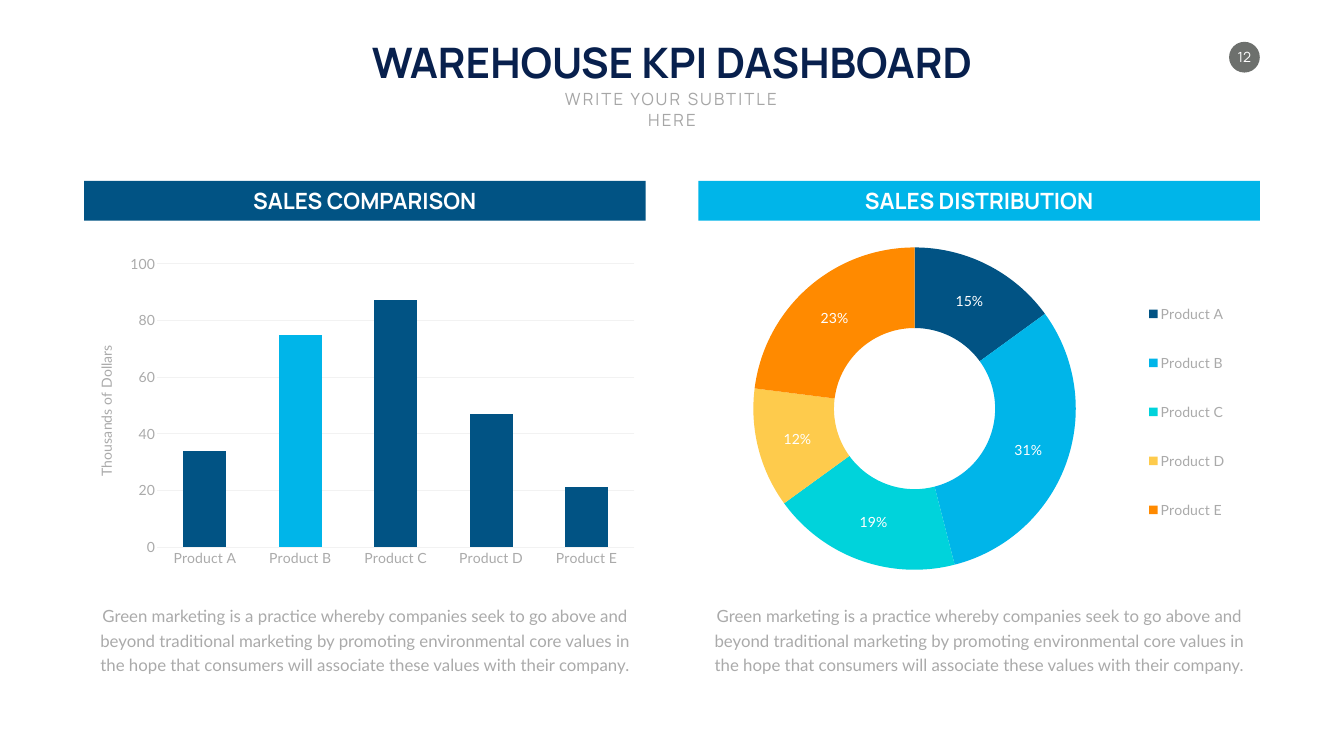
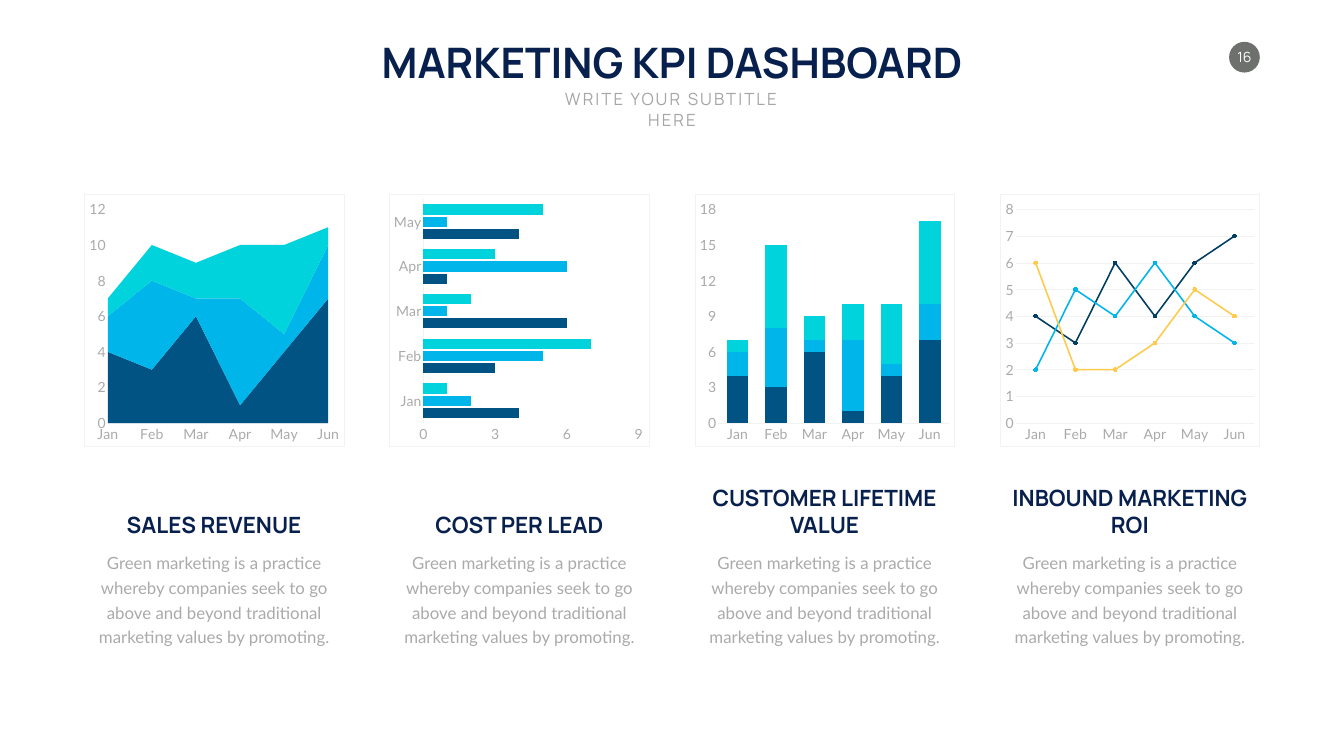
from pptx import Presentation
from pptx.chart.data import CategoryChartData
from pptx.dml.color import RGBColor
from pptx.enum.chart import XL_CHART_TYPE, XL_LEGEND_POSITION, XL_MARKER_STYLE, XL_TICK_MARK
from pptx.enum.shapes import MSO_SHAPE
from pptx.enum.text import MSO_ANCHOR, MSO_AUTO_SIZE, PP_ALIGN
from pptx.oxml import parse_xml
from pptx.oxml.ns import nsdecls, qn
from pptx.util import Inches, Pt

COLUMN = XL_CHART_TYPE.COLUMN_CLUSTERED
COLUMN_STACKED = XL_CHART_TYPE.COLUMN_STACKED
AREA_STACKED = XL_CHART_TYPE.AREA_STACKED
BAR = XL_CHART_TYPE.BAR_CLUSTERED
LINE = XL_CHART_TYPE.LINE_MARKERS
DOUGHNUT = XL_CHART_TYPE.DOUGHNUT
RIGHT = XL_LEGEND_POSITION.RIGHT
CIRCLE = XL_MARKER_STYLE.CIRCLE
NO_TICK = XL_TICK_MARK.NONE
RECTANGLE, OVAL = MSO_SHAPE.RECTANGLE, MSO_SHAPE.OVAL
TOP, MIDDLE, BOTTOM = MSO_ANCHOR.TOP, MSO_ANCHOR.MIDDLE, MSO_ANCHOR.BOTTOM
NO_AUTOFIT = MSO_AUTO_SIZE.NONE
CENTER = PP_ALIGN.CENTER

# Shared look
WIDTH, HEIGHT, MARGIN = 26.66, 15, 1.67
HEADING_FONT, BODY_FONT = "Manrope", "Lato"
NAVY, BLUE, SKY, TEAL = "08204D", "015384", "00B5E9", "00D3DB"
YELLOW, ORANGE, DEEP_BLUE = "FECB4C", "FF8A00", "013E63"
WHITE, GREY, SUBTITLE_GREY = "FFFFFF", "AAAAAA", "A6A6A6"
BADGE_GREY, PALE = "6D706D", "F2F2F2"
STACK_COLOURS = [BLUE, SKY, TEAL]

# Content
PRODUCTS = [f"Product {letter}" for letter in "ABCDE"]
MONTHS = ["Jan", "Feb", "Mar", "Apr", "May", "Jun"]
SALES_TEXT = (
    "Green marketing is a practice whereby companies seek to go above and "
    "beyond traditional marketing by promoting environmental core values in "
    "the hope that consumers will associate these values with their company.")
KPI_TEXT = (
    "Green marketing is a practice whereby companies seek to go above and "
    "beyond traditional marketing values by promoting.")


def colour(value):
    return RGBColor.from_string(value)


def frame(left, width, top, height):
    """Left and width in inches, top and height in percent of the slide height."""
    return [Inches(length) for length in
            (left, top * HEIGHT / 100, width, height * HEIGHT / 100)]


def column_frame(index, count, gap, top, height):
    width = (WIDTH - 2 * MARGIN - (count - 1) * gap) / count
    return frame(MARGIN + index * (width + gap), width, top, height)


def style_font(font, size, name, text_colour, bold=False):
    font.size = Pt(size)
    font.name = name
    font.bold = bold
    font.color.rgb = colour(text_colour)


# Text and shapes
def write(shape, text, size, name, text_colour, bold=False, anchor=TOP):
    text_frame = shape.text_frame
    text_frame.text = text
    text_frame.word_wrap = True
    text_frame.auto_size = NO_AUTOFIT
    text_frame.vertical_anchor = anchor
    paragraph = text_frame.paragraphs[0]
    paragraph.alignment = CENTER
    style_font(paragraph.runs[0].font, size, name, text_colour, bold)
    return paragraph


def add_text(slide, box, *style, **options):
    return write(slide.shapes.add_textbox(*box), *style, **options)


def add_body(slide, box, text):
    add_text(slide, box, text, 24, BODY_FONT, GREY).line_spacing = Pt(35)


def add_block(slide, kind, box, fill):
    shape = slide.shapes.add_shape(kind, *box)
    shape.shadow.inherit = False
    shape.fill.solid()
    shape.fill.fore_color.rgb = colour(fill)
    shape.line.fill.background()
    return shape


def add_band(slide, box, text, fill):
    band = add_block(slide, RECTANGLE, box, fill)
    write(band, text, 32, HEADING_FONT, WHITE, bold=True, anchor=MIDDLE)


def add_dashboard_slide(presentation, title, number):
    slide = presentation.slides.add_slide(presentation.slide_layouts[5])
    heading = slide.shapes.title
    heading.left, heading.top, heading.width, heading.height = frame(
        WIDTH * 0.2, WIDTH * 0.6, 4.47, 7.4)
    write(heading, title, 60, HEADING_FONT, NAVY, bold=True)

    subtitle_width = 5.43
    subtitle = add_text(
        slide, frame((WIDTH - subtitle_width) / 2, subtitle_width, 11.47, 6),
        "WRITE YOUR SUBTITLE HERE", 24, HEADING_FONT, SUBTITLE_GREY)
    subtitle.runs[0].font._element.set("spc", "300")

    diameter = 0.61
    badge = add_block(
        slide, OVAL, frame(WIDTH - MARGIN - diameter, diameter, 5.53, 4.07), BADGE_GREY)
    text_frame = badge.text_frame
    text_frame.margin_left = text_frame.margin_right = 0
    text_frame.margin_top = text_frame.margin_bottom = 0
    write(badge, number, 20, HEADING_FONT, WHITE, anchor=MIDDLE)
    return slide


# Charts
def set_layout(parent, index, box, inner=False):
    """Fix the place of a chart part, as shares of the chart."""
    for old in parent.findall(qn("c:layout")):
        parent.remove(old)
    target = '<c:layoutTarget val="inner"/>' if inner else ""
    modes = "".join(f'<c:{axis}Mode val="edge"/>' for axis in "xy")
    sizes = "".join(f'<c:{name} val="{value}"/>' for name, value in zip("xywh", box))
    parent.insert(index, parse_xml(
        f'<c:layout {nsdecls("c")}><c:manualLayout>{target}{modes}{sizes}'
        '</c:manualLayout></c:layout>'))


def set_chart_border(chart, border):
    fill = f'<a:solidFill><a:srgbClr val="{border}"/></a:solidFill>' if border else "<a:noFill/>"
    chart._chartSpace.find(qn("c:chart")).addnext(parse_xml(
        f'<c:spPr {nsdecls("c", "a")}><a:noFill/><a:ln w="9525">{fill}</a:ln></c:spPr>'))


def add_chart(slide, box, kind, categories, rows, plot_box, border=None):
    data = CategoryChartData()
    data.categories = categories
    for number, values in enumerate(rows, 1):
        data.add_series(f"Series {number}", values)
    chart = slide.shapes.add_chart(kind, *box, data).chart
    chart.has_title = False
    chart.has_legend = False
    style_font(chart.font, 20, BODY_FONT, GREY)
    set_chart_border(chart, border)
    set_layout(chart._chartSpace.chart.plotArea, 0, plot_box, inner=True)
    return chart


def pale_line(line):
    line.color.rgb = colour(PALE)
    line.width = Pt(0.75)


def style_axes(chart, maximum, step, grid=False):
    category_axis, value_axis = chart.category_axis, chart.value_axis
    for axis in (category_axis, value_axis):
        axis.major_tick_mark = axis.minor_tick_mark = NO_TICK
        style_font(axis.tick_labels.font, 20, BODY_FONT, GREY)
    category_axis.has_major_gridlines = False
    pale_line(category_axis.format.line)
    value_axis.format.line.fill.background()
    value_axis.minimum_scale = 0
    value_axis.maximum_scale = maximum
    value_axis.major_unit = step
    value_axis.has_major_gridlines = grid
    if grid:
        pale_line(value_axis.major_gridlines.format.line)


def fill_part(part, value):
    part.format.fill.solid()
    part.format.fill.fore_color.rgb = colour(value)


def fill_series(chart, colours):
    for series, value in zip(chart.plots[0].series, colours):
        fill_part(series, value)


def style_bars(chart, gap, overlap, colours):
    plot = chart.plots[0]
    plot.vary_by_categories = False
    plot.gap_width = gap
    plot.overlap = overlap
    fill_series(chart, colours)


def style_lines(chart, colours):
    for series, value in zip(chart.plots[0].series, colours):
        series.smooth = False
        series.format.line.color.rgb = colour(value)
        series.format.line.width = Pt(2.25)
        series.marker.style = CIRCLE
        series.marker.size = 5
        fill_part(series.marker, value)
        series.marker.format.line.color.rgb = colour(value)


def add_sales_columns(slide, box):
    chart = add_chart(slide, box, COLUMN, PRODUCTS, [(34, 75, 87, 47, 21)],
                      (0.13, 0.05, 0.85, 0.87))
    style_axes(chart, 100, 20, grid=True)
    style_bars(chart, 122, 0, [BLUE])
    fill_part(chart.plots[0].series[0].points[1], SKY)
    title_frame = chart.value_axis.axis_title.text_frame
    title_frame.text = "Thousands of Dollars"
    style_font(title_frame.paragraphs[0].runs[0].font, 20, BODY_FONT, GREY)


def add_sales_doughnut(slide, box):
    chart = add_chart(slide, box, DOUGHNUT, PRODUCTS, [(15, 31, 19, 12, 23)],
                      (0.09, 0, 0.59, 0.99))
    plot = chart.plots[0]
    for index, value in enumerate([BLUE, SKY, TEAL, YELLOW, ORANGE]):
        point = plot.series[0].points[index]
        fill_part(point, value)
        point.format.line.fill.background()
    plot.has_data_labels = True
    labels = plot.data_labels
    labels.show_percentage = True
    labels.show_value = False
    labels.number_format = "0%"
    labels.number_format_is_linked = False
    style_font(labels.font, 20, BODY_FONT, WHITE)
    chart.has_legend = True
    chart.legend.position = RIGHT
    chart.legend.include_in_layout = False
    style_font(chart.legend.font, 20, BODY_FONT, GREY)
    set_layout(chart.legend._element, 1, (0.78, 0.08, 0.18, 0.85))


def add_revenue_areas(slide, box):
    rows = [(4, 3, 6, 1, 4, 7), (2, 5, 1, 6, 1, 3), (1, 2, 2, 3, 5, 1)]
    chart = add_chart(slide, box, AREA_STACKED, MONTHS, rows,
                      (0.09, 0.06, 0.85, 0.85), PALE)
    style_axes(chart, 12, 2)
    fill_series(chart, STACK_COLOURS)
    for crossing in chart._chartSpace.iter(qn("c:crossBetween")):
        crossing.set("val", "midCat")


def add_lead_bars(slide, box):
    rows = [(4, 3, 6, 1, 4), (2, 5, 1, 6, 1), (1, 7, 2, 3, 5)]
    chart = add_chart(slide, box, BAR, MONTHS[:5], rows,
                      (0.13, 0.02, 0.83, 0.89), PALE)
    style_axes(chart, 9, 3)
    style_bars(chart, 100, -20, STACK_COLOURS)


def add_lifetime_columns(slide, box):
    rows = [(4, 3, 6, 1, 4, 7), (2, 5, 1, 6, 1, 3), (1, 7, 2, 3, 5, 7)]
    chart = add_chart(slide, box, COLUMN_STACKED, MONTHS, rows,
                      (0.09, 0.06, 0.89, 0.85), PALE)
    style_axes(chart, 18, 3)
    style_bars(chart, 80, 100, STACK_COLOURS)


def add_roi_lines(slide, box):
    rows = [(4, 3, 6, 4, 6, 7), (2, 5, 4, 6, 4, 3), (6, 2, 2, 3, 5, 4)]
    chart = add_chart(slide, box, LINE, MONTHS, rows,
                      (0.06, 0.06, 0.92, 0.85), PALE)
    style_axes(chart, 8, 1, grid=True)
    style_lines(chart, [DEEP_BLUE, SKY, YELLOW])


# Slides
def build_warehouse(presentation):
    slide = add_dashboard_slide(presentation, "WAREHOUSE KPI DASHBOARD", "12")
    panels = [("SALES COMPARISON", BLUE, add_sales_columns),
              ("SALES DISTRIBUTION", SKY, add_sales_doughnut)]
    for index, (heading, fill, add_panel_chart) in enumerate(panels):
        grid = (index, len(panels), 1.05)
        add_band(slide, column_frame(*grid, 23.93, 5.27), heading, fill)
        add_panel_chart(slide, column_frame(*grid, 32.73, 43.07))
        add_body(slide, column_frame(*grid, 79.27, 10.13), SALES_TEXT)


def build_marketing(presentation):
    slide = add_dashboard_slide(presentation, "MARKETING KPI DASHBOARD", "16")
    panels = [("SALES REVENUE", add_revenue_areas),
              ("COST PER LEAD", add_lead_bars),
              ("CUSTOMER LIFETIME VALUE", add_lifetime_columns),
              ("INBOUND MARKETING ROI", add_roi_lines)]
    for index, (heading, add_panel_chart) in enumerate(panels):
        grid = (index, len(panels), 0.9)
        add_panel_chart(slide, column_frame(*grid, 25.67, 33.33))
        add_text(slide, column_frame(*grid, 63.67, 7.87), heading, 32,
                 HEADING_FONT, NAVY, bold=True, anchor=BOTTOM)
        add_body(slide, column_frame(*grid, 72.27, 13.4), KPI_TEXT)


def main():
    presentation = Presentation()
    presentation.slide_width, presentation.slide_height = Inches(WIDTH), Inches(HEIGHT)
    build_warehouse(presentation)
    build_marketing(presentation)
    presentation.save("out.pptx")


if __name__ == "__main__":
    main()
